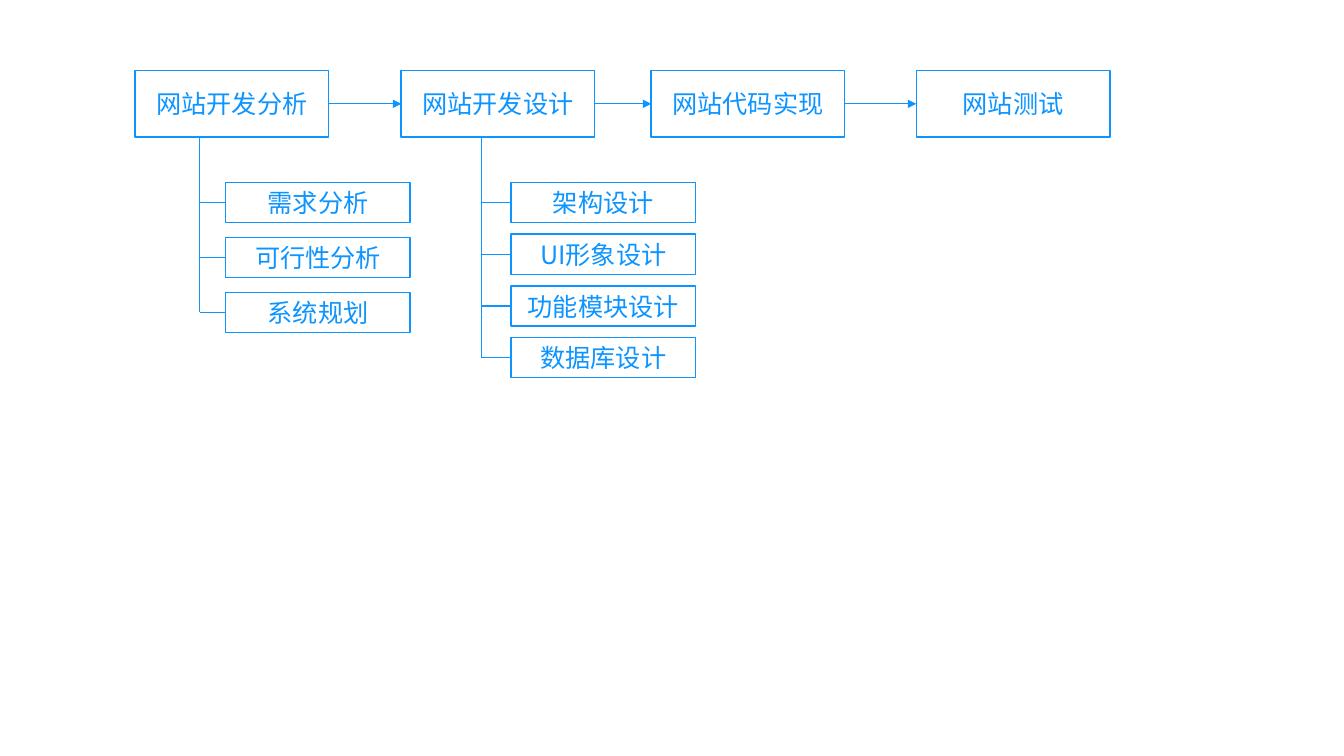
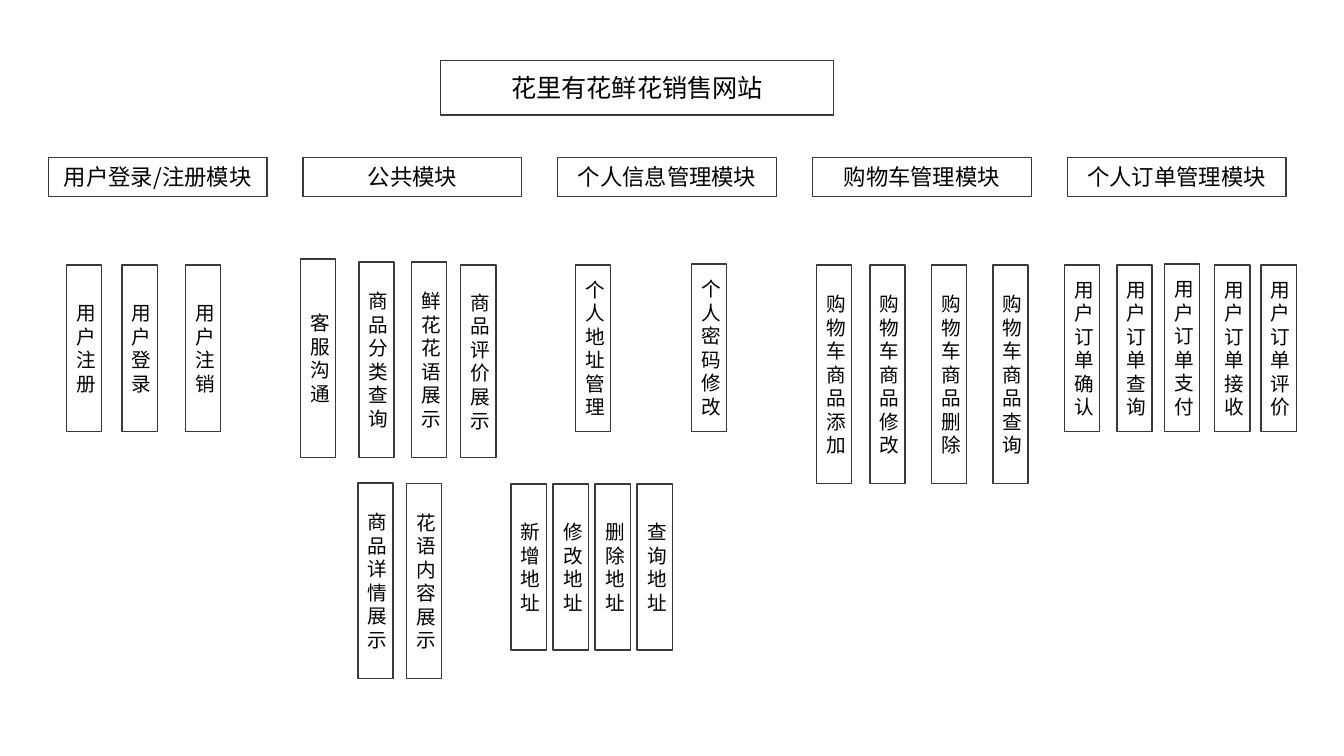
"""Draw the website development process and the module tree of a flower shop site."""
from dataclasses import dataclass

from lxml import etree
from pptx import Presentation
from pptx.dml.color import RGBColor
from pptx.enum.shapes import MSO_CONNECTOR, MSO_SHAPE
from pptx.enum.text import MSO_ANCHOR, MSO_AUTO_SIZE, PP_ALIGN
from pptx.oxml.ns import qn
from pptx.shapes.autoshape import Shape
from pptx.shapes.connector import Connector
from pptx.slide import Slide
from pptx.util import Inches, Length, Pt

RECTANGLE = MSO_SHAPE.RECTANGLE
STRAIGHT = MSO_CONNECTOR.STRAIGHT
MIDDLE = MSO_ANCHOR.MIDDLE
CENTER = PP_ALIGN.CENTER
NO_AUTOFIT = MSO_AUTO_SIZE.NONE
LEFT_SIDE, RIGHT_SIDE = 1, 3
TITLE_ONLY, BLANK = 5, 6

CELL = Inches(0.1)
GRID_COLUMNS, GRID_ROWS = 133.33, 75


@dataclass(frozen=True)
class Theme:
    """Colours, font, type sizes and line widths of the deck."""
    blue: RGBColor = RGBColor(0x0D, 0x94, 0xFF)
    charcoal: RGBColor = RGBColor(0x3B, 0x38, 0x38)
    black: RGBColor = RGBColor(0, 0, 0)
    font: str = "Noto Sans CJK JP"
    heading: Length = Pt(18)
    module: Length = Pt(16)
    leaf: Length = Pt(14)
    leaf_pitch: Length = Pt(16.8)
    border: Length = Pt(1)
    link: Length = Pt(0.75)


THEME = Theme()


@dataclass(frozen=True)
class BoxStyle:
    """Look of one kind of framed label."""
    outline: RGBColor
    ink: RGBColor
    size: Length
    margin: float = 0.5
    pitch: Length | None = None


PROCESS = BoxStyle(THEME.blue, THEME.blue, THEME.heading)
SITE = BoxStyle(THEME.charcoal, THEME.black, THEME.heading)
MODULE = BoxStyle(THEME.charcoal, THEME.black, THEME.module)
LEAF = BoxStyle(THEME.charcoal, THEME.black, THEME.leaf, 1, THEME.leaf_pitch)


@dataclass(frozen=True)
class Box:
    """Framed label placed in grid cells."""
    label: str
    column: float
    row: float
    width: float
    height: float


@dataclass(frozen=True)
class Stage:
    """Process stage with the steps hanging below it."""
    label: str
    column: float
    steps: tuple[str, ...] = ()
    trunk_column: float = 0
    step_column: float = 0
    step_pitch: float = 0


@dataclass(frozen=True)
class LeafRow:
    """Upright labels sharing a bottom edge, as (label, column, top row)."""
    bottom: float
    leaves: tuple[tuple[str, float, float], ...]


STAGE_ROW, STAGE_WIDTH, STAGE_HEIGHT = 7, 19.2, 6.6
STEP_ROW, STEP_WIDTH, STEP_HEIGHT = 18.1, 18.3, 4
STAGES = (
    Stage("网站开发分析", 13.4, ("需求分析", "可行性分析", "系统规划"), 19.8, 22.4, 5.45),
    Stage("网站开发设计", 39.8, ("架构设计", "UI形象设计", "功能模块设计", "数据库设计"),
          47.8, 50.7, 5.13),
    Stage("网站代码实现", 64.6),
    Stage("网站测试", 90.9),
)

SITE_BOX = Box("花里有花鲜花销售网站", 43.7, 6, 39, 5.4)
MODULE_COLUMN, MODULE_PITCH = 4.8, 25.27
MODULES = ("用户登录/注册模块", "公共模块", "个人信息管理模块", "购物车管理模块", "个人订单管理模块")
LEAF_WIDTH = 3.5
ADDRESS_COLUMN, ADDRESS_PITCH = 50.7, 4.17
ADDRESS_ACTIONS = ("新增", "修改", "删除", "查询")
LEAF_ROWS = (
    LeafRow(42.8, (
        ("用户注册", 6.6, 26.3), ("用户登录", 12.1, 26.3), ("用户注销", 18.4, 26.3),
        ("个人地址管理", 57.1, 26.3), ("个人密码修改", 68.6, 26.2),
        ("用户订单确认", 105.6, 26.3), ("用户订单查询", 110.8, 26.3),
        ("用户订单支付", 115.5, 26.2), ("用户订单接收", 120.5, 26.3),
        ("用户订单评价", 125.1, 26.3),
    )),
    LeafRow(45.4, (
        ("客服沟通", 29.8, 25.7), ("商品分类查询", 35.6, 26),
        ("鲜花花语展示", 40.8, 26), ("商品评价展示", 45.7, 26.3),
    )),
    LeafRow(48, (
        ("购物车商品添加", 81, 26.3), ("购物车商品修改", 86.3, 26.3),
        ("购物车商品删除", 92.4, 26.3), ("购物车商品查询", 98.5, 26.3),
    )),
    LeafRow(67.3, (("商品详情展示", 35.5, 47.9), ("花语内容展示", 40.3, 48))),
    LeafRow(64.5, tuple(
        (f"{action}地址", ADDRESS_COLUMN + index * ADDRESS_PITCH, 48)
        for index, action in enumerate(ADDRESS_ACTIONS)
    )),
)


def cells(count: float) -> Length:
    """Turn a number of grid cells into a length."""
    return Length(round(count * CELL))


def format_label(shape: Shape, label: str, style: BoxStyle) -> None:
    """Write and format the frame and text of a label."""
    shape.fill.background()
    shape.line.color.rgb = style.outline
    shape.line.width = THEME.border
    frame = shape.text_frame
    frame.text = label
    frame.word_wrap = True
    frame.auto_size = NO_AUTOFIT
    frame.vertical_anchor = MIDDLE
    frame.margin_left = frame.margin_right = cells(style.margin)
    paragraph = frame.paragraphs[0]
    paragraph.alignment = CENTER
    if style.pitch is not None:
        paragraph.line_spacing = style.pitch
    font = paragraph.runs[0].font
    font.size = style.size
    font.color.rgb = style.ink
    font.name = THEME.font
    east_asian = etree.SubElement(paragraph.runs[0].font._element, qn("a:ea"))
    east_asian.set("typeface", THEME.font)


def add_box(slide: Slide, box: Box, style: BoxStyle) -> Shape:
    """Add a framed label to the slide."""
    shape = slide.shapes.add_shape(
        RECTANGLE, cells(box.column), cells(box.row), cells(box.width), cells(box.height))
    shape.shadow.inherit = False
    format_label(shape, box.label, style)
    return shape


def add_link(slide: Slide, start: tuple[int, int], end: tuple[int, int]) -> Connector:
    """Add a thin blue line between two points."""
    link = slide.shapes.add_connector(STRAIGHT, *start, *end)
    link.line.color.rgb = THEME.blue
    link.line.width = THEME.link
    etree.SubElement(link._element.spPr, qn("a:effectLst"))
    return link


def add_arrow(slide: Slide, source: Shape, target: Shape) -> None:
    """Join two neighbouring stages with an arrow."""
    level = source.top + source.height // 2
    arrow = add_link(slide, (source.left + source.width, level), (target.left, level))
    arrow.begin_connect(source, RIGHT_SIDE)
    arrow.end_connect(target, LEFT_SIDE)
    etree.SubElement(arrow.line._get_or_add_ln(), qn("a:tailEnd")).set("type", "triangle")


def add_steps(slide: Slide, stage: Stage) -> None:
    """Hang the steps of a stage from a vertical trunk."""
    trunk = cells(stage.trunk_column)
    level = cells(STAGE_ROW + STAGE_HEIGHT)
    trunk_top = level
    for index, label in enumerate(stage.steps):
        row = STEP_ROW + index * stage.step_pitch
        step = add_box(
            slide, Box(label, stage.step_column, row, STEP_WIDTH, STEP_HEIGHT), PROCESS)
        level = step.top + step.height // 2
        spur = add_link(slide, (trunk, level), (step.left, level))
        spur.end_connect(step, LEFT_SIDE)
    add_link(slide, (trunk, trunk_top), (trunk, level))


def build_process(slide: Slide) -> None:
    """Draw the stages of website development."""
    stages = [
        add_box(slide, Box(stage.label, stage.column, STAGE_ROW, STAGE_WIDTH, STAGE_HEIGHT),
                PROCESS)
        for stage in STAGES
    ]
    for source, target in zip(stages, stages[1:]):
        add_arrow(slide, source, target)
    for stage in STAGES:
        if stage.steps:
            add_steps(slide, stage)


def build_modules(slide: Slide) -> None:
    """Draw the site name, its modules and their functions."""
    site = slide.shapes.title
    site.left, site.top = cells(SITE_BOX.column), cells(SITE_BOX.row)
    site.width, site.height = cells(SITE_BOX.width), cells(SITE_BOX.height)
    format_label(site, SITE_BOX.label, SITE)
    for index, label in enumerate(MODULES):
        column = MODULE_COLUMN + index * MODULE_PITCH
        add_box(slide, Box(label, column, 15.6, 21.7, 3.9), MODULE)
    for leaf_row in LEAF_ROWS:
        for label, column, top in leaf_row.leaves:
            add_box(slide, Box(label, column, top, LEAF_WIDTH, leaf_row.bottom - top), LEAF)


def main() -> None:
    """Build and save the deck."""
    deck = Presentation()
    deck.slide_width, deck.slide_height = cells(GRID_COLUMNS), cells(GRID_ROWS)
    build_process(deck.slides.add_slide(deck.slide_layouts[BLANK]))
    build_modules(deck.slides.add_slide(deck.slide_layouts[TITLE_ONLY]))
    deck.save("out.pptx")


if __name__ == "__main__":
    main()
